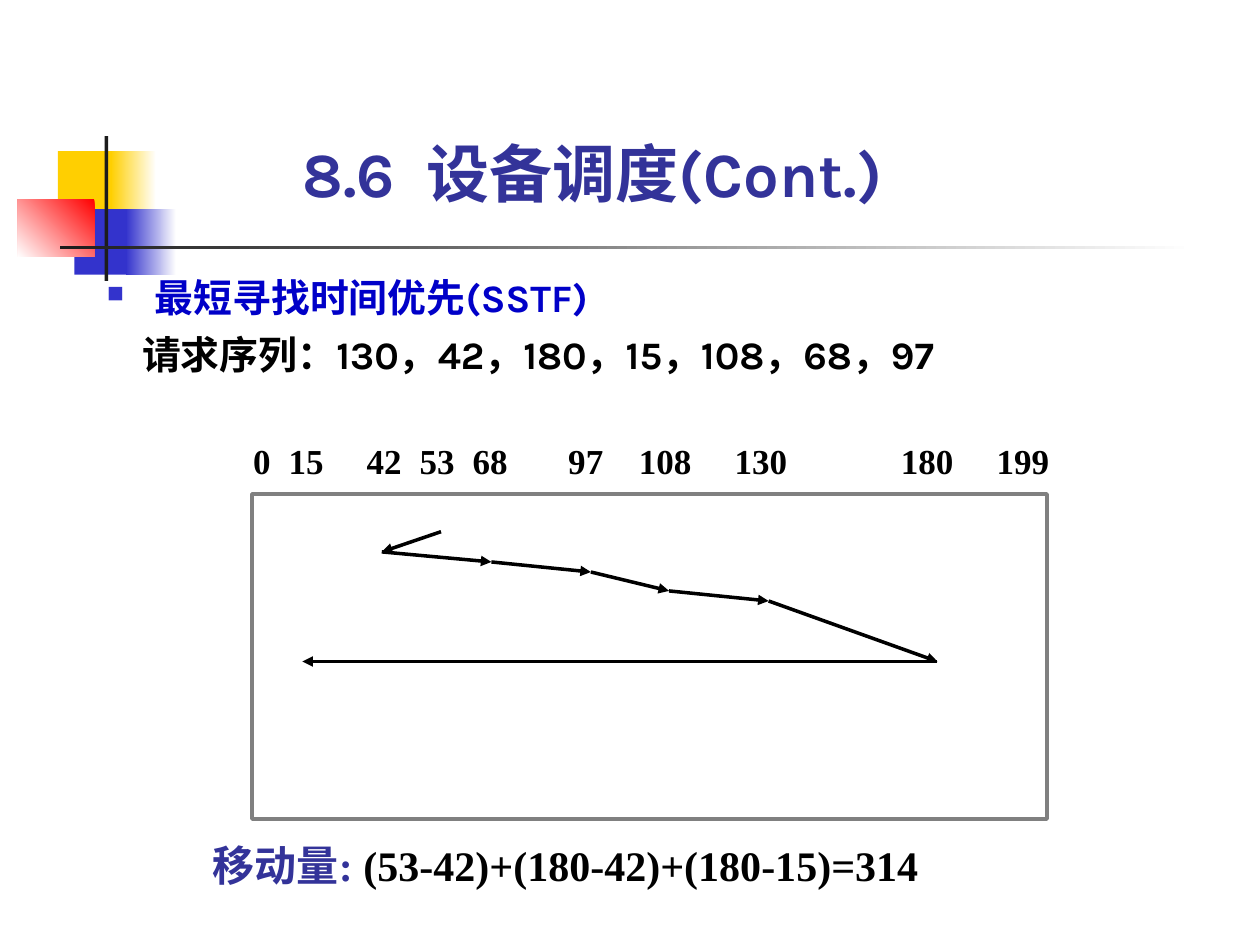
from dataclasses import dataclass
from itertools import pairwise

from lxml import etree
from pptx import Presentation
from pptx.dml.color import RGBColor
from pptx.enum.shapes import MSO_CONNECTOR, MSO_SHAPE
from pptx.enum.text import MSO_ANCHOR
from pptx.oxml.ns import qn
from pptx.util import Inches, Pt

RECTANGLE = MSO_SHAPE.RECTANGLE
STRAIGHT = MSO_CONNECTOR.STRAIGHT
TOP, BOTTOM = MSO_ANCHOR.TOP, MSO_ANCHOR.BOTTOM
COLUMNS, ROWS = 100, 75


@dataclass(frozen=True)
class Theme:
    heading_font: str = "Karla"
    number_font: str = "Times New Roman"
    title_size: float = 36
    body_size: float = 22.2
    scale_size: float = 20
    result_size: float = 24
    line_width: float = 2
    title: str = "333399"
    topic: str = "0000C8"
    ink: str = "000000"
    frame: str = "808080"
    white: str = "FFFFFF"
    yellow: str = "FFCF01"
    blue: str = "3333CC"
    red: str = "FF0000"
    rule: str = "1C1C1C"


class SlideBuilder:
    def __init__(self, deck, theme):
        self.theme = theme
        self.column = deck.slide_width / COLUMNS
        self.row = deck.slide_height / ROWS
        self.slide = deck.slides.add_slide(deck.slide_layouts[6])

    def place(self, left, top, width, height):
        return (round(left * self.column), round(top * self.row),
                round(width * self.column), round(height * self.row))

    def rectangle(self, area, color=None, fade=None, angle=180, outline=None):
        shape = self.slide.shapes.add_shape(RECTANGLE, *self.place(*area))
        shape.shadow.inherit = False
        if fade:
            shape.fill.gradient()
            shape.fill.gradient_angle = angle
            for stop, shade in zip(shape.fill.gradient_stops, fade):
                stop.color.rgb = RGBColor.from_string(shade)
        elif color:
            shape.fill.solid()
            shape.fill.fore_color.rgb = RGBColor.from_string(color)
        else:
            shape.fill.background()
        if outline:
            shape.line.color.rgb = RGBColor.from_string(outline)
            shape.line.width = Pt(self.theme.line_width)
        else:
            shape.line.fill.background()

    def text_box(self, area, inset=(0, 0), anchor=TOP):
        frame = self.slide.shapes.add_textbox(*self.place(*area)).text_frame
        side, edge = map(Inches, inset)
        layout = {"word_wrap": True, "vertical_anchor": anchor,
                  "margin_left": side, "margin_right": side,
                  "margin_top": edge, "margin_bottom": edge}
        for name, value in layout.items():
            setattr(frame, name, value)
        return frame

    def add_span(self, para, text, font, size, color):
        span = para.add_run()
        span.text = text
        values = {"name": font, "size": Pt(size), "bold": True}
        for name, value in values.items():
            setattr(span.font, name, value)
        span.font.color.rgb = RGBColor.from_string(color)

    def indent(self, para, margin, first=0):
        properties = para._p.get_or_add_pPr()
        properties.set("marL", str(Inches(margin)))
        properties.set("indent", str(Inches(first)))

    def bullet(self, para, symbol, color, percent):
        properties = para._p.get_or_add_pPr()
        tint = etree.SubElement(properties, qn("a:buClr"))
        etree.SubElement(tint, qn("a:srgbClr"), val=color)
        etree.SubElement(properties, qn("a:buSzPct"), val=str(percent * 1000))
        etree.SubElement(properties, qn("a:buChar"), char=symbol)

    def tab_stops(self, para, stops):
        tabs = etree.SubElement(para._p.get_or_add_pPr(), qn("a:tabLst"))
        for stop in stops:
            etree.SubElement(tabs, qn("a:tab"), pos=str(Inches(stop)), algn="l")

    def arrow(self, start, end):
        line = self.slide.shapes.add_connector(
            STRAIGHT, *self.place(*start, *end))
        line.line.color.rgb = RGBColor.from_string(self.theme.ink)
        line.line.width = Pt(self.theme.line_width)
        etree.SubElement(line.line._get_or_add_ln(), qn("a:tailEnd"), type="triangle")
        etree.SubElement(line._element.spPr, qn("a:effectLst"))


def draw_ornament(page, theme):
    page.rectangle((4.6, 12, 4.8, 5.2), theme.yellow)
    page.rectangle((8.8, 12, 3.6, 5.2), fade=(theme.white, theme.yellow))
    page.rectangle((5.9, 16.6, 4.6, 5.2), theme.blue)
    page.rectangle((10, 16.6, 4, 5.2), fade=(theme.white, theme.blue))
    page.rectangle((1.4, 15.8, 6.1, 4.6), fade=(theme.red, theme.white), angle=225)
    page.rectangle((8.3, 10.8, 0.3, 11.5), theme.rule)
    page.rectangle((4.8, 19.5, 90, 0.3), fade=(theme.white, theme.rule))


def add_texts(page, theme):
    body = page.text_box((7.5, 21.2, 85, 10), inset=(0.1, 0.05))
    topic = body.paragraphs[0]
    page.indent(topic, 0.38, -0.38)
    page.bullet(topic, "■", theme.blue, 60)
    page.add_span(topic, "最短寻找时间优先(SSTF)", theme.heading_font,
                  theme.body_size, theme.topic)
    requests = body.add_paragraph()
    requests.space_before = Pt(6)
    page.indent(requests, 0.28)
    page.add_span(requests, "请求序列：130，42，180，15，108，68，97",
                  theme.heading_font, theme.body_size, theme.ink)

    title = page.text_box((24, 10.7, 50.4, 6), anchor=BOTTOM).paragraphs[0]
    page.add_span(title, "8.6  设备调度(Cont.)", theme.heading_font,
                  theme.title_size, theme.title)

    result = page.text_box((16.9, 66.6, 59.1, 4)).paragraphs[0]
    for text, color in (("移动量:", theme.title),
                        (" (53-42)+(180-42)+(180-15)=314", theme.ink)):
        page.add_span(result, text, theme.number_font, theme.result_size, color)


def draw_seek_chart(page, theme):
    page.rectangle((20, 39.2, 63.1, 25.8), outline=theme.frame)
    tracks = {0: 0, 15: 0.28, 42: 0.9, 53: 1.32, 68: 1.74,
              97: 2.5, 108: 3.06, 130: 3.82, 180: 5.14, 199: 5.9}
    scale = page.text_box((20.1, 34.9, 70.1, 3.3)).paragraphs[0]
    page.tab_stops(scale, list(tracks.values())[1:])
    page.add_span(scale, "\t".join(map(str, tracks)), theme.number_font,
                  theme.scale_size, theme.ink)

    head_stops = [(35, 42.2), (30.3, 43.8), (39, 44.6), (46.9, 45.4),
                  (53.1, 46.9), (61, 47.7), (74.4, 52.5), (24, 52.5)]
    for start, end in pairwise(head_stops):
        page.arrow(start, end)


def main():
    deck = Presentation()
    deck.slide_width, deck.slide_height = Inches(10), Inches(7.5)
    theme = Theme()
    page = SlideBuilder(deck, theme)
    draw_ornament(page, theme)
    add_texts(page, theme)
    draw_seek_chart(page, theme)
    deck.save("out.pptx")


if __name__ == "__main__":
    main()
